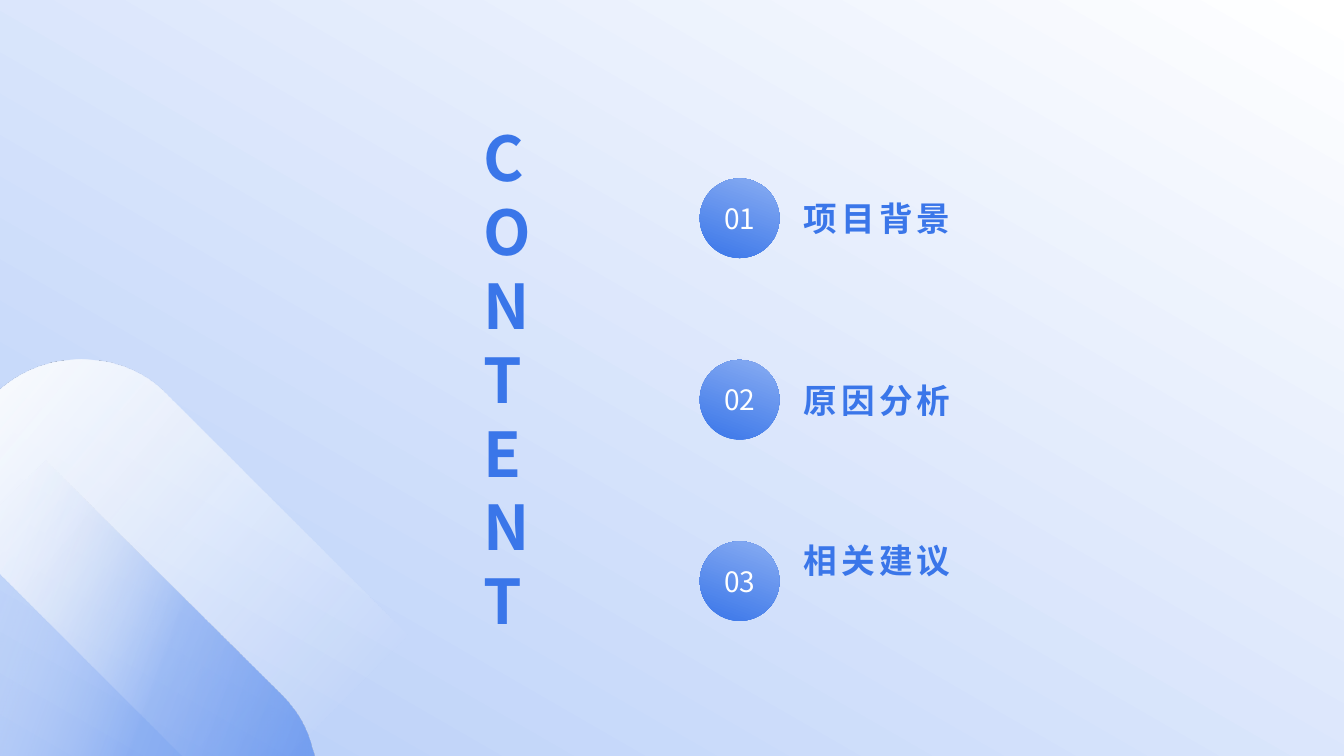
import pptx
import pptx.util
import pptx.oxml
import pptx.dml.color
import pptx.enum.shapes
import pptx.enum.text
from pptx.oxml.ns import nsdecls

Inches = pptx.util.Inches
Pt = pptx.util.Pt
RGB = pptx.dml.color.RGBColor.from_string

FONT = "Noto Sans CJK SC"
HUE = {"blue": "3A76E9", "soft": "89ADF2", "sky": "B6CDF8", "base": "D8E4FB",
       "white": "FFFFFF", "mist": "F9FBFE", "haze": "FBFCFF"}

TITLE = ["CONT", "ENT"]
# number, topic, inset below the topic that lifts it
TOPICS = [("01", "项目背景", 0), ("02", "原因分析", 0), ("03", "相关建议", 0.42)]

# stops: position, colour, opacity (percent); then clockwise angle
BACK = ([(0, "sky", 100), (100, "white", 100)], 300)
PALE = ([(0, "mist", 100), (87, "haze", 0)], 40)
DEEP = ([(0, "white", 0), (56, "blue", 34), (98, "blue", 55)], 20)
DISC = ([(0, "blue", 100), (100, "soft", 100)], 290)

# two numbers: a corner; six numbers: a Bezier curve
PALE_BAND = [(0.81, 3.57), (1.12, 3.57, 1.43, 3.68, 1.66, 3.92), (4.04, 6.3),
             (2.85, 7.5), (1.81, 7.5), (0, 5.69), (0, 3.87), (0.04, 3.84),
             (0.26, 3.66, 0.53, 3.57, 0.81, 3.57)]
DEEP_BAND = [(0.45, 4.57), (2.79, 6.89), (2.94, 7.04, 3.04, 7.21, 3.09, 7.4),
             (3.12, 7.5), (0, 7.5), (0, 5.01)]
STEPS = 16

TOP, PITCH, SIZE = 1.77, 1.8, 0.79
DISC_X, TEXT_X, TEXT_W, TEXT_H = 6.94, 7.97, 3.48, 1.02


def paint(shape, look):
    """Give a shape a gradient fill, no line and no shadow."""
    stops, angle = look
    marks = "".join(
        f'<a:gs pos="{pos * 1000}"><a:srgbClr val="{HUE[hue]}">'
        f'<a:alpha val="{alpha * 1000}"/></a:srgbClr></a:gs>'
        for pos, hue, alpha in stops)
    grad = pptx.oxml.parse_xml(
        f'<a:gradFill {nsdecls("a")} rotWithShape="1"><a:gsLst>{marks}</a:gsLst>'
        f'<a:lin ang="{angle * 60000}" scaled="0"/></a:gradFill>')
    shape.shadow.inherit = False
    shape.line.fill.background()
    shape.fill.background()
    blank = shape.fill._xPr.find(pptx.oxml.ns.qn("a:noFill"))
    blank.getparent().replace(blank, grad)


def trace(parts):
    """Turn corners and curves into a list of points."""
    points = []
    for part in parts:
        if len(part) == 2:
            points.append(part)
            continue
        ends = [points[-1], part[:2], part[2:4], part[4:]]
        for step in range(1, STEPS + 1):
            t = step / STEPS
            mix = [(1 - t) ** 3, 3 * t * (1 - t) ** 2, 3 * t * t * (1 - t), t ** 3]
            points.append(tuple(sum(m * e[i] for m, e in zip(mix, ends))
                                for i in (0, 1)))
    return points


def add_band(slide, parts, look):
    points = [(Inches(x), Inches(y)) for x, y in trace(parts)]
    pen = slide.shapes.build_freeform(*points[0])
    pen.add_line_segments(points[1:], close=True)
    paint(pen.convert_to_shape(), look)


def add_shape(slide, kind, box, look):
    shape = slide.shapes.add_shape(kind, *map(Inches, box))
    paint(shape, look)
    return shape


def write(shape, lines, size, hue, bold=False, wrap=True, low=0):
    """Write lines, split by line breaks, in the middle of a shape."""
    frame = shape.text_frame
    frame.word_wrap = wrap
    frame.vertical_anchor = pptx.enum.text.MSO_ANCHOR.MIDDLE
    frame.margin_left = frame.margin_right = frame.margin_top = 0
    frame.margin_bottom = Inches(low)
    para = frame.paragraphs[0]
    for i, line in enumerate(lines):
        if i:
            para.add_line_break()
        run = para.add_run()
        run.text = line
        run.font.size, run.font.bold, run.font.name = Pt(size), bold, FONT
        run.font.color.rgb = RGB(HUE[hue])
        props = run.font._element
        props.append(pptx.oxml.parse_xml(
            f'<a:ea {nsdecls("a")} typeface="{FONT}"/>'))
        if bold:
            props.set("spc", "300")
    return para


def add_text(slide, box, lines, size, low=0):
    shape = slide.shapes.add_textbox(*map(Inches, box))
    return write(shape, lines, size, "blue", bold=True, low=low)


def main():
    deck = pptx.Presentation()
    deck.slide_width, deck.slide_height = Inches(13.33), Inches(7.5)
    slide = deck.slides.add_slide(deck.slide_layouts[6])
    slide.background.fill.solid()
    slide.background.fill.fore_color.rgb = RGB(HUE["base"])

    kinds = pptx.enum.shapes.MSO_SHAPE
    add_shape(slide, kinds.RECTANGLE, (0, 0, 13.33, 7.5), BACK)
    add_band(slide, PALE_BAND, PALE)
    add_band(slide, DEEP_BAND, DEEP)

    title = add_text(slide, (4.8, 3.09, 0.85, 1.33), TITLE, 44.1)
    title.line_spacing = Pt(52.8)

    for i, (number, topic, low) in enumerate(TOPICS):
        top = TOP + i * PITCH
        disc = add_shape(slide, kinds.OVAL, (DISC_X, top, SIZE, SIZE), DISC)
        para = write(disc, [number], 20, "white", wrap=False)
        para.alignment = pptx.enum.text.PP_ALIGN.CENTER
        box = (TEXT_X, top + (SIZE - TEXT_H) / 2, TEXT_W, TEXT_H)
        add_text(slide, box, [topic], 24, low)

    deck.save("out.pptx")


if __name__ == "__main__":
    main()
